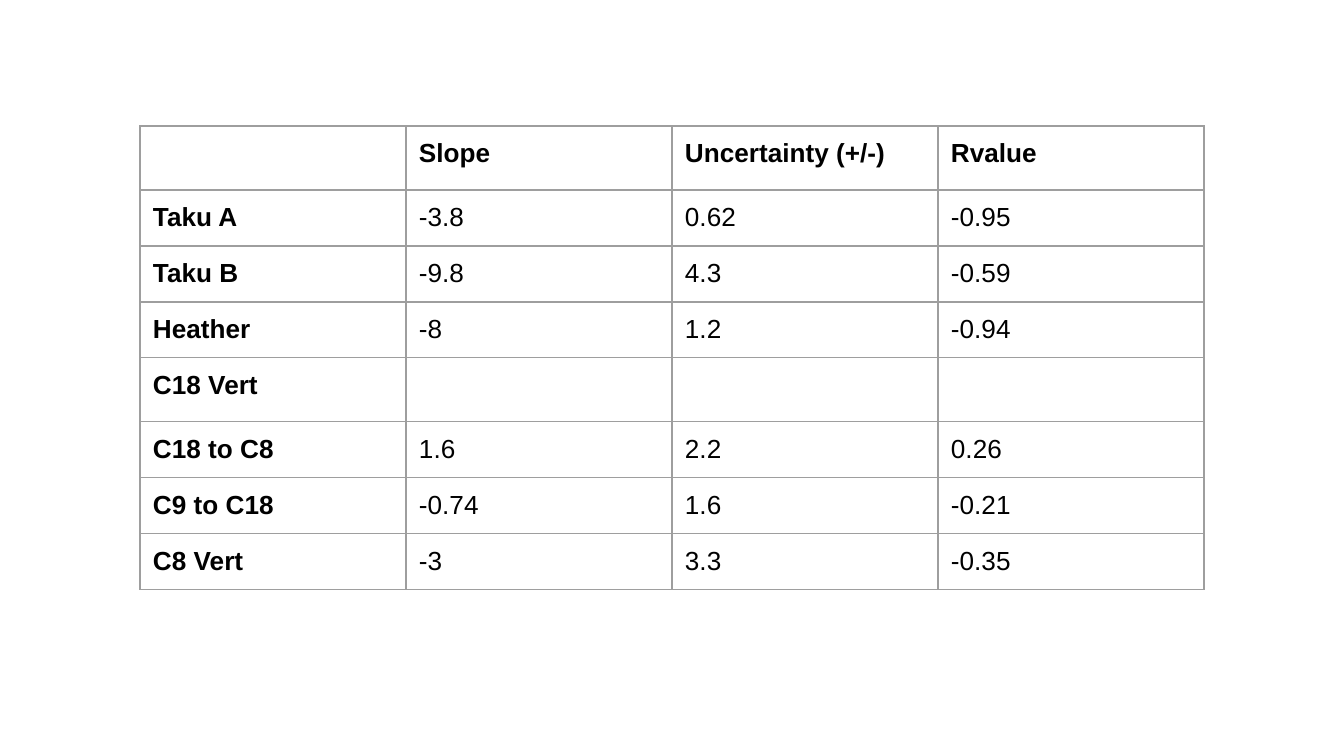
from lxml.etree import SubElement
from pptx import Presentation
from pptx.dml.color import RGBColor
from pptx.oxml.ns import qn
from pptx.util import Pt

# Content
HEADER = ("", "Slope", "Uncertainty (+/-)", "Rvalue")
RESULTS = [
    ("Taku A", "-3.8", "0.62", "-0.95"),
    ("Taku B", "-9.8", "4.3", "-0.59"),
    ("Heather", "-8", "1.2", "-0.94"),
    ("C18 Vert", "", "", ""),
    ("C18 to C8", "1.6", "2.2", "0.26"),
    ("C9 to C18", "-0.74", "1.6", "-0.21"),
    ("C8 Vert", "-3", "3.3", "-0.35"),
]
ROWS = [HEADER, *RESULTS]

# Style and layout, lengths in px
TEXT = RGBColor(0x00, 0x00, 0x00)
BORDER = RGBColor(0x9E, 0x9E, 0x9E)
LEFT, TOP = 140, 126
COLUMN_W = 266
ROW_H, TALL_ROW_H = 56, 64
INSET = 13


def px(length):
    return round(length * 914400 / 134.4)


def add_borders(cell):
    properties = cell._tc.get_or_add_tcPr()
    for position, side in enumerate(("lnL", "lnR", "lnT", "lnB")):
        line = SubElement(properties, qn(f"a:{side}"), w=str(Pt(0.75)))
        fill = SubElement(line, qn("a:solidFill"))
        SubElement(fill, qn("a:srgbClr"), val=str(BORDER))
        properties.insert(position, line)  # borders come before the fill


def fill_cell(cell, value, bold):
    cell.fill.background()
    add_borders(cell)
    if not value:
        return
    cell.margin_left = cell.margin_right = px(INSET)
    cell.margin_top = cell.margin_bottom = px(INSET)
    cell.text_frame.text = value
    font = cell.text_frame.paragraphs[0].runs[0].font
    font.name, font.size, font.bold = "Arial", Pt(14), bold
    font.color.rgb = TEXT


prs = Presentation()
prs.slide_width, prs.slide_height = px(1344), px(756)
slide = prs.slides.add_slide(prs.slide_layouts[6])

# Table of regression results; rows with an empty cell are taller
heights = [ROW_H if all(row) else TALL_ROW_H for row in ROWS]
results = slide.shapes.add_table(
    len(ROWS), len(HEADER), px(LEFT), px(TOP),
    px(COLUMN_W * len(HEADER)), px(sum(heights))).table
results.first_row = results.horz_banding = False

for column in results.columns:
    column.width = px(COLUMN_W)
for r, (row, height) in enumerate(zip(ROWS, heights)):
    results.rows[r].height = px(height)
    for c, value in enumerate(row):
        fill_cell(results.cell(r, c), value, bold=r == 0 or c == 0)

prs.save("out.pptx")
